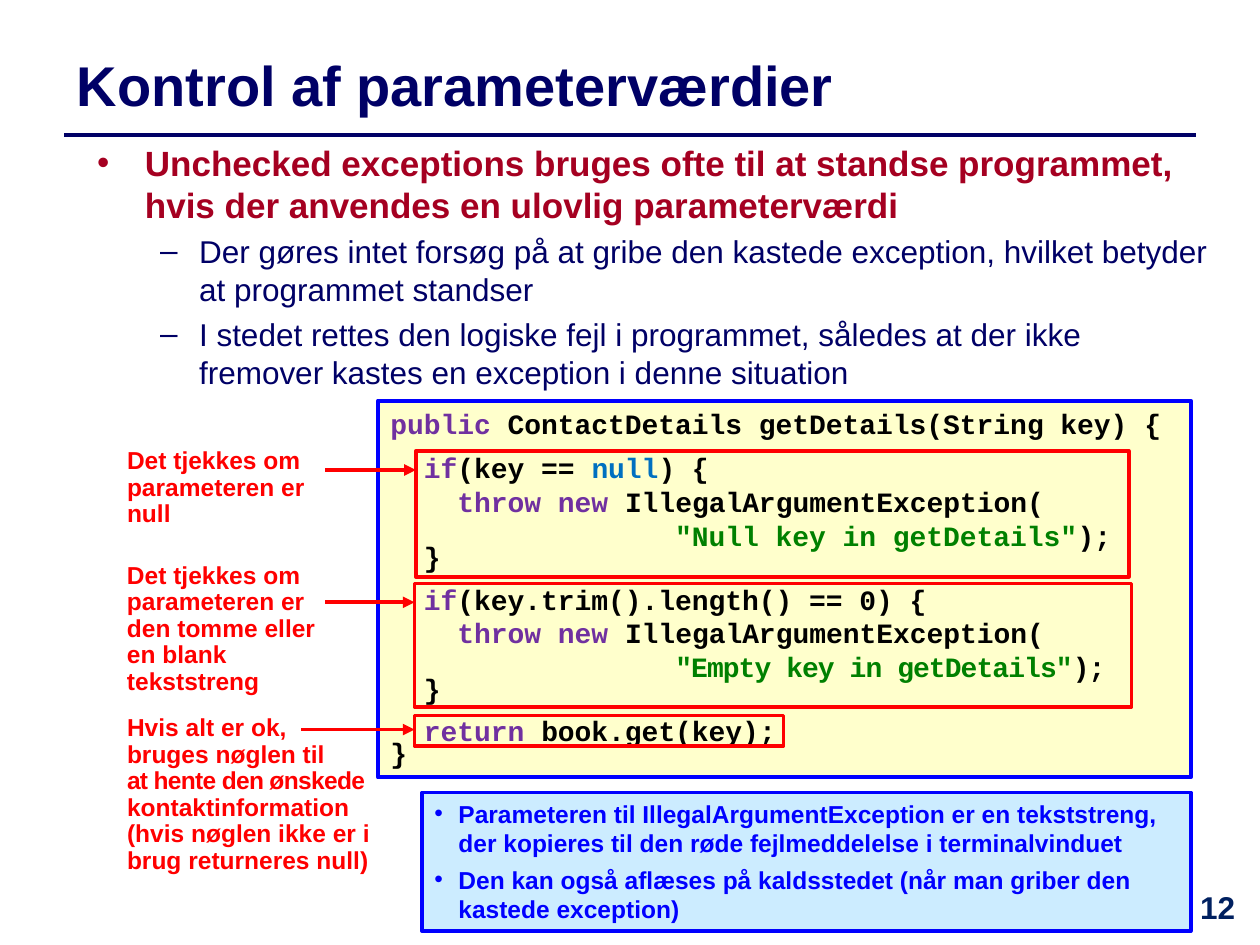
from lxml import etree
from pptx import Presentation
from pptx.dml.color import RGBColor
from pptx.enum.shapes import MSO_CONNECTOR, MSO_SHAPE
from pptx.enum.text import MSO_ANCHOR, MSO_AUTO_SIZE, PP_ALIGN
from pptx.oxml.ns import qn
from pptx.util import Inches, Pt

RECTANGLE = MSO_SHAPE.RECTANGLE
STRAIGHT = MSO_CONNECTOR.STRAIGHT
LEFT, CENTER = PP_ALIGN.LEFT, PP_ALIGN.CENTER
TOP, MIDDLE = MSO_ANCHOR.TOP, MSO_ANCHOR.MIDDLE
NO_FIT = MSO_AUTO_SIZE.NONE

NAVY, CRIMSON, RED, BLUE = "000066", "A50021", "FF0000", "0000FF"
BLACK, PURPLE, AZURE, GREEN = "000000", "7030A0", "0070C0", "008000"
NOTE_LEFT = 0.91
CODE_RIGHT = 9.45

# Each code line: space before, line spacing, spans of (text, colour[, tracking])
CLOSE_BLOCK = (0, 0.6, [("  }", BLACK)])
THROW = (0, 1, [("    throw new ", PURPLE), ("IllegalArgumentException(", BLACK)])
MESSAGE_INDENT = " " * 17
CODE = [
    (0, 1, [("public ", PURPLE), ("ContactDetails getDetails(String key) {", BLACK)]),
    (6, 1, [("  if", PURPLE), ("(key == ", BLACK), ("null", AZURE), (") {", BLACK)]),
    THROW,
    (0, 1, [(MESSAGE_INDENT + '"Null key in getDetails"', GREEN), (");", BLACK)]),
    CLOSE_BLOCK,
    (6, 1, [("  if", PURPLE), ("(key.trim().length() == 0) {", BLACK)]),
    THROW,
    (0, 1, [(MESSAGE_INDENT, GREEN), ('"Empty key in getDetails"', GREEN, -0.5),
            (");", BLACK, -0.5)]),
    CLOSE_BLOCK,
    (6, 1, [("  return ", PURPLE), ("book.get(key);", BLACK)]),
    (0, 0.6, [("}", BLACK)]),
]

# Each check: code frame, note area, arrow start and height, note spans
CHECKS = [
    ((3.3, 3.58, 5.66, 1), (3.51, 1.65, 0.74), (2.58, 3.73),
     [("Det tjekkes om parameteren er null", RED)]),
    ((3.29, 4.63, 5.69, 0.98), (4.42, 1.97, 0.95), (2.58, 4.78),
     [("Det tjekkes om parameteren er den tomme eller en blank tekststreng", RED)]),
    ((3.29, 5.68, 2.93, 0.24), (5.63, 2.28, 1.37), (2.39, 5.79),
     [("Hvis alt er ok,\nbruges nøglen til\n", RED),
      ("at hente den ønskede ", RED, -0.4),
      ("kontaktinformation (hvis nøglen ikke er i brug returneres null)", RED)]),
]


def color(value):
    return RGBColor.from_string(value)


def inches(*lengths):
    return [Inches(length) for length in lengths]


def place(shape, area):
    shape.left, shape.top, shape.width, shape.height = inches(*area)


def prepare_frame(shape, anchor=TOP):
    frame = shape.text_frame
    frame.word_wrap = True
    frame.auto_size = NO_FIT
    frame.vertical_anchor = anchor
    frame.margin_left = frame.margin_right = Inches(0.1)
    frame.margin_top = frame.margin_bottom = Inches(0.05)
    return frame


def next_paragraph(frame, index):
    return frame.add_paragraph() if index else frame.paragraphs[0]


def write(para, spans, size, font="Arial", bold=True, before=0, spacing=1, align=LEFT):
    para.alignment = align
    para.space_before = Pt(before)
    para.line_spacing = spacing
    for text, shade, *tracking in spans:
        for index, line in enumerate(text.split("\n")):
            if index:
                para.add_line_break()
            if not line:
                continue
            span = para.add_run()
            span.text = line
            span.font.name, span.font.size, span.font.bold = font, Pt(size), bold
            span.font.color.rgb = color(shade)
            if tracking:
                span.font._element.set("spc", str(round(tracking[0] * 100)))


def add_bullet(para, mark, margin, hanging):
    properties = para._p.get_or_add_pPr()
    properties.set("marL", str(Inches(margin)))
    properties.set("indent", str(-Inches(hanging)))
    etree.SubElement(properties, qn("a:buFont")).set("typeface", "Arial")
    etree.SubElement(properties, qn("a:buChar")).set("char", mark)


def add_rectangle(page, area, line, width, fill=None):
    box = page.shapes.add_shape(RECTANGLE, *inches(*area))
    box.shadow.inherit = False
    if fill:
        box.fill.solid()
        box.fill.fore_color.rgb = color(fill)
    else:
        box.fill.background()
    box.line.color.rgb = color(line)
    box.line.width = Pt(width)
    return box


def add_line(page, start, end, shade, width, arrow=False):
    line = page.shapes.add_connector(STRAIGHT, *inches(*start, *end))
    line.line.color.rgb = color(shade)
    line.line.width = Pt(width)
    if arrow:
        etree.SubElement(line.line._get_or_add_ln(), qn("a:tailEnd")).set("type", "triangle")
    etree.SubElement(line._element.spPr, qn("a:effectLst"))


def add_text(page, area, spans, size, **style):
    box = page.shapes.add_textbox(*inches(*area))
    write(prepare_frame(box).paragraphs[0], spans, size, **style)


def fill_title(page):
    title = page.shapes.title
    place(title, (0.51, 0.29, 9.49, 0.75))
    frame = prepare_frame(title, MIDDLE)
    write(frame.paragraphs[0], [("Kontrol af parameterværdier", NAVY)], 32)


def fill_body(page):
    body = page.placeholders[1]
    place(body, (0.67, 1.07, 9.03, 2.1))
    frame = prepare_frame(body)
    points = [
        (0, "Unchecked exceptions bruges ofte til at standse programmet, "
            "hvis der anvendes en ulovlig parameterværdi"),
        (1, "Der gøres intet forsøg på at gribe den kastede exception, "
            "hvilket betyder at programmet standser"),
        (1, "I stedet rettes den logiske fejl i programmet, således at der ikke "
            "fremover kastes en exception i denne situation"),
    ]
    for index, (level, text) in enumerate(points):
        para = next_paragraph(frame, index)
        para.level = level
        if level:
            add_bullet(para, "–", 0.81, 0.31)
            write(para, [(text, NAVY)], 18, bold=False, before=4)
        else:
            add_bullet(para, "•", 0.38, 0.38)
            write(para, [(text, CRIMSON)], 20)


def add_code(page):
    box = add_rectangle(page, (3, 3.18, CODE_RIGHT - 3, 2.99), BLUE, 2.25, "FFFFCC")
    frame = prepare_frame(box)
    for index, (before, spacing, spans) in enumerate(CODE):
        write(next_paragraph(frame, index), spans, 16, "Courier New",
              before=before, spacing=spacing)


def add_check(page, frame_area, note_area, arrow_start, spans):
    add_rectangle(page, frame_area, RED, 2)
    add_text(page, (NOTE_LEFT, *note_area), spans, 14, spacing=0.9)
    add_line(page, arrow_start, (frame_area[0], arrow_start[1]), RED, 2.25, arrow=True)


def add_remarks(page):
    box = add_rectangle(page, (3.35, 6.29, CODE_RIGHT - 3.35, 1.1), BLUE, 2.25, "CCECFF")
    frame = prepare_frame(box)
    remarks = [
        "Parameteren til IllegalArgumentException er en tekststreng, "
        "der kopieres til den røde fejlmeddelelse i terminalvinduet",
        "Den kan også aflæses på kaldsstedet (når man griber den kastede exception)",
    ]
    for index, text in enumerate(remarks):
        para = next_paragraph(frame, index)
        add_bullet(para, "•", 0.19, 0.19)
        write(para, [(text, BLUE)], 14, before=4 if index else 0)


def main():
    deck = Presentation()
    deck.slide_width, deck.slide_height = inches(10, 7.5)
    page = deck.slides.add_slide(deck.slide_layouts[1])

    # Heading, page number and main points
    add_line(page, (0.51, 1.07), (9.49, 1.07), NAVY, 2)
    fill_title(page)
    add_text(page, (9.33, 7, 0.67, 0.5), [("12", "002060")], 18, align=CENTER)
    fill_body(page)

    # Code with explained checks
    add_code(page)
    for check in CHECKS:
        add_check(page, *check)
    add_remarks(page)

    deck.save("out.pptx")


if __name__ == "__main__":
    main()
